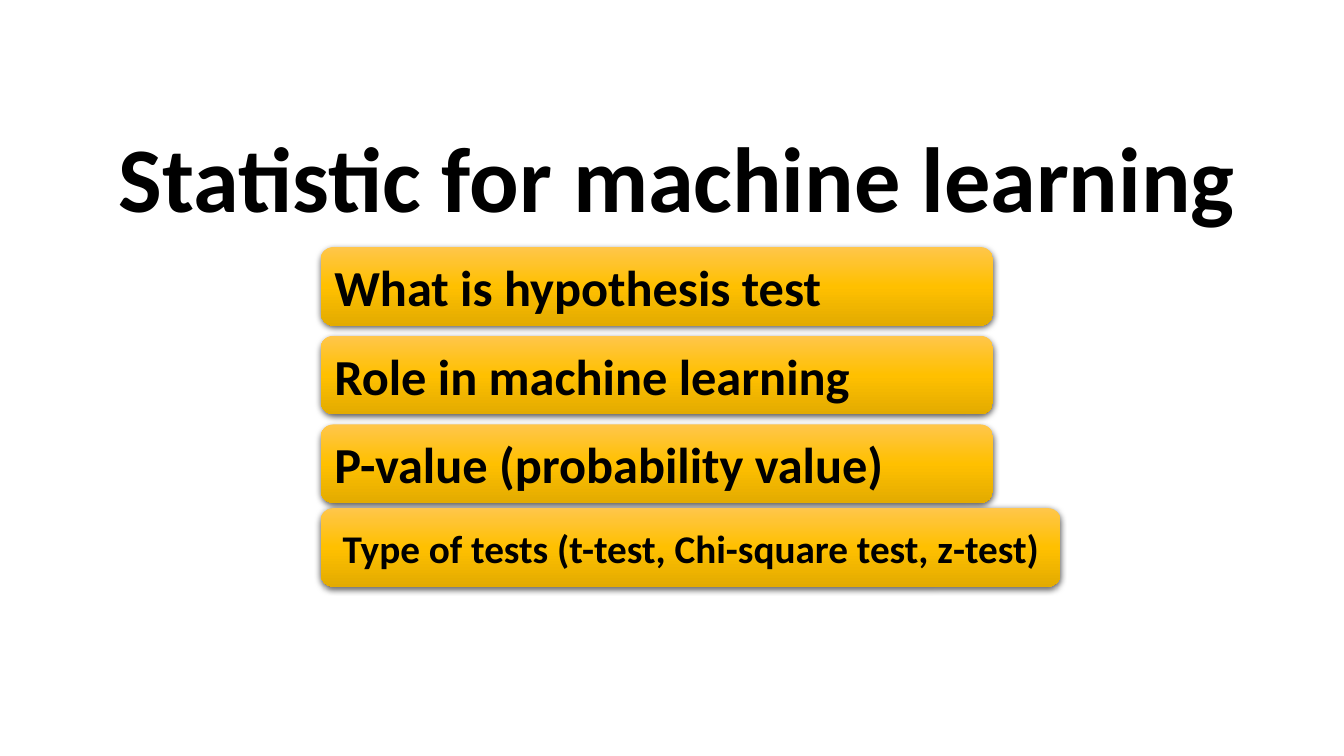
"""Build the opening slide of a talk on statistics for machine learning."""
from copy import deepcopy

from lxml.etree import SubElement
from pptx import Presentation
from pptx.dml.color import RGBColor
from pptx.enum.shapes import MSO_SHAPE as Shape
from pptx.enum.text import MSO_ANCHOR as Anchor, PP_ALIGN as Align
from pptx.oxml.ns import qn
from pptx.util import Inches, Pt

SLIDE_WIDTH, SLIDE_HEIGHT = 13.33, 7.5
BAR_LEFT, BAR_TOP = 3.18, 2.45
BAR_WIDTH, BAR_HEIGHT, BAR_STEP = 6.67, 0.78, 0.88
GOLD_STOPS = [(0, "FFC64B"), (0.5, "FFC000"), (1, "E3AB00")]
TOPICS = ["What is hypothesis test", "Role in machine learning", "P-value (probability value)"]
TEST_TYPES = "Type of tests (t-test, Chi-square test, z-test)"


def color(hex_code):
    return RGBColor.from_string(hex_code)


def write(frame, words, size, align=Align.LEFT, anchor=Anchor.MIDDLE):
    frame.word_wrap = True
    frame.vertical_anchor = anchor
    frame.margin_left = frame.margin_right = Inches(0.1)
    frame.margin_top = frame.margin_bottom = Inches(0.05)
    line = frame.paragraphs[0]
    line.alignment = align
    line.line_spacing = 1
    run = line.add_run()
    run.text = words
    run.font.name = "Calibri"
    run.font.size = Pt(size)
    run.font.bold = True
    run.font.color.rgb = color("000000")


def fill_gold(bar):
    bar.fill.gradient()
    bar.fill.gradient_angle = 270
    stop_list = bar._element.spPr.find(qn("a:gradFill")).find(qn("a:gsLst"))
    stop_list.append(deepcopy(stop_list[0]))
    for stop, (position, hex_code) in zip(bar.fill.gradient_stops, GOLD_STOPS):
        stop.position = position
        stop.color.rgb = color(hex_code)


def cast_shadow(bar):
    bar.shadow.inherit = False
    effects = bar._element.spPr.find(qn("a:effectLst"))
    shadow = SubElement(effects, qn("a:outerShdw"), blurRad=str(Pt(4.5)),
                        dist=str(Pt(1.5)), dir="5400000", rotWithShape="0")
    black = SubElement(shadow, qn("a:srgbClr"), val="000000")
    SubElement(black, qn("a:alpha"), val="63000")


def add_bar(slide, words, top, width=BAR_WIDTH, size=36, align=Align.LEFT):
    bar = slide.shapes.add_shape(Shape.ROUNDED_RECTANGLE, Inches(BAR_LEFT), Inches(top),
                                 Inches(width), Inches(BAR_HEIGHT))
    fill_gold(bar)
    bar.line.fill.background()
    cast_shadow(bar)
    write(bar.text_frame, words, size, align)


def add_title(slide, words):
    title = slide.shapes.title
    title.left, title.top = Inches(1.08), Inches(1.14)
    title.width, title.height = Inches(12.18), Inches(1.21)
    write(title.text_frame, words, 66, anchor=Anchor.TOP)


def main():
    deck = Presentation()
    deck.slide_width, deck.slide_height = Inches(SLIDE_WIDTH), Inches(SLIDE_HEIGHT)
    slide = deck.slides.add_slide(deck.slide_layouts[5])
    for row, topic in enumerate(TOPICS):
        add_bar(slide, topic, BAR_TOP + row * BAR_STEP)
    add_bar(slide, TEST_TYPES, 5.04, width=7.34, size=28, align=Align.CENTER)
    add_title(slide, "Statistic for machine learning")
    deck.save("out.pptx")


if __name__ == "__main__":
    main()
